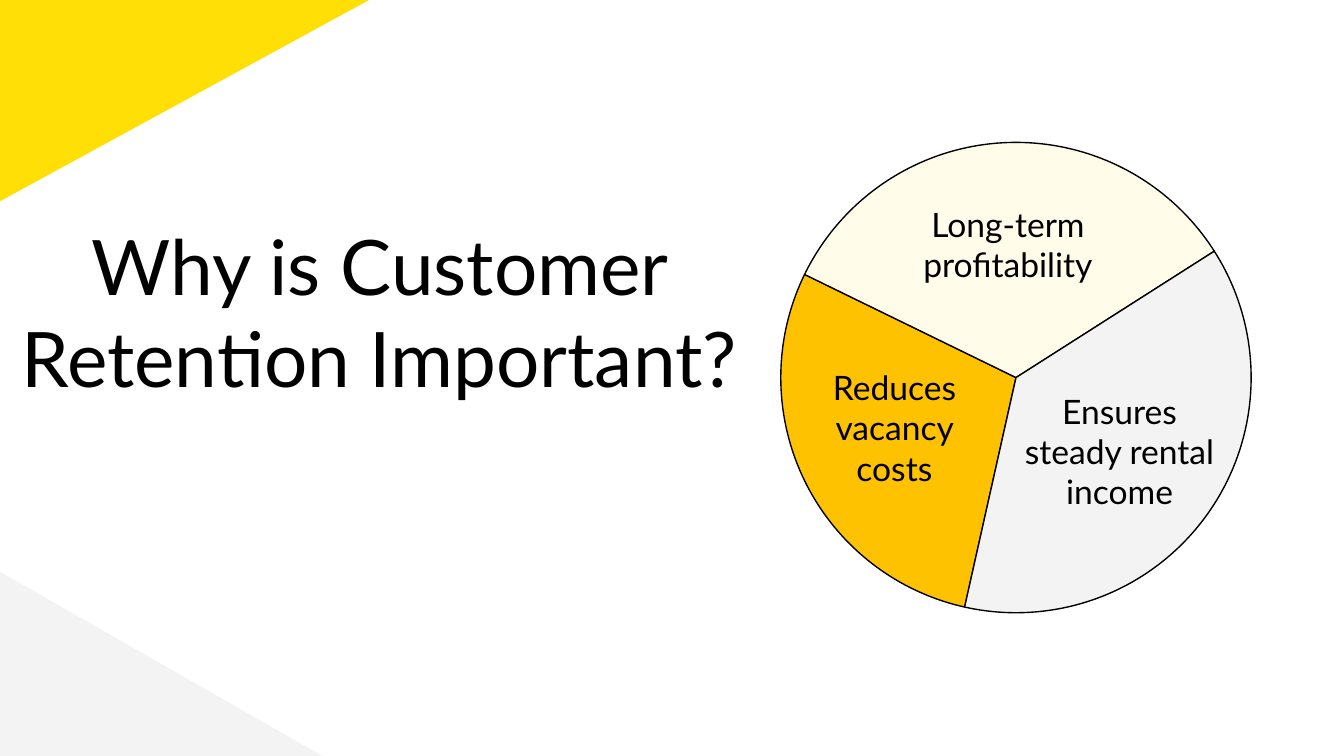
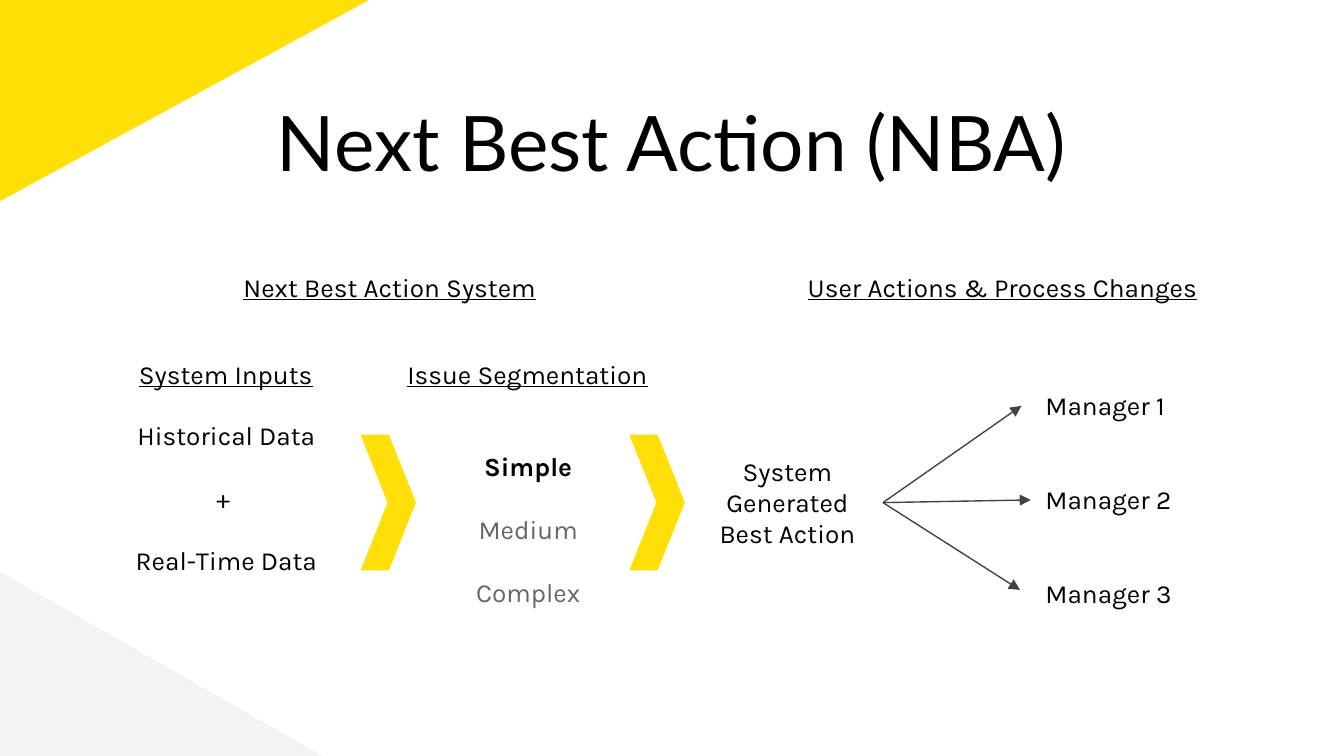
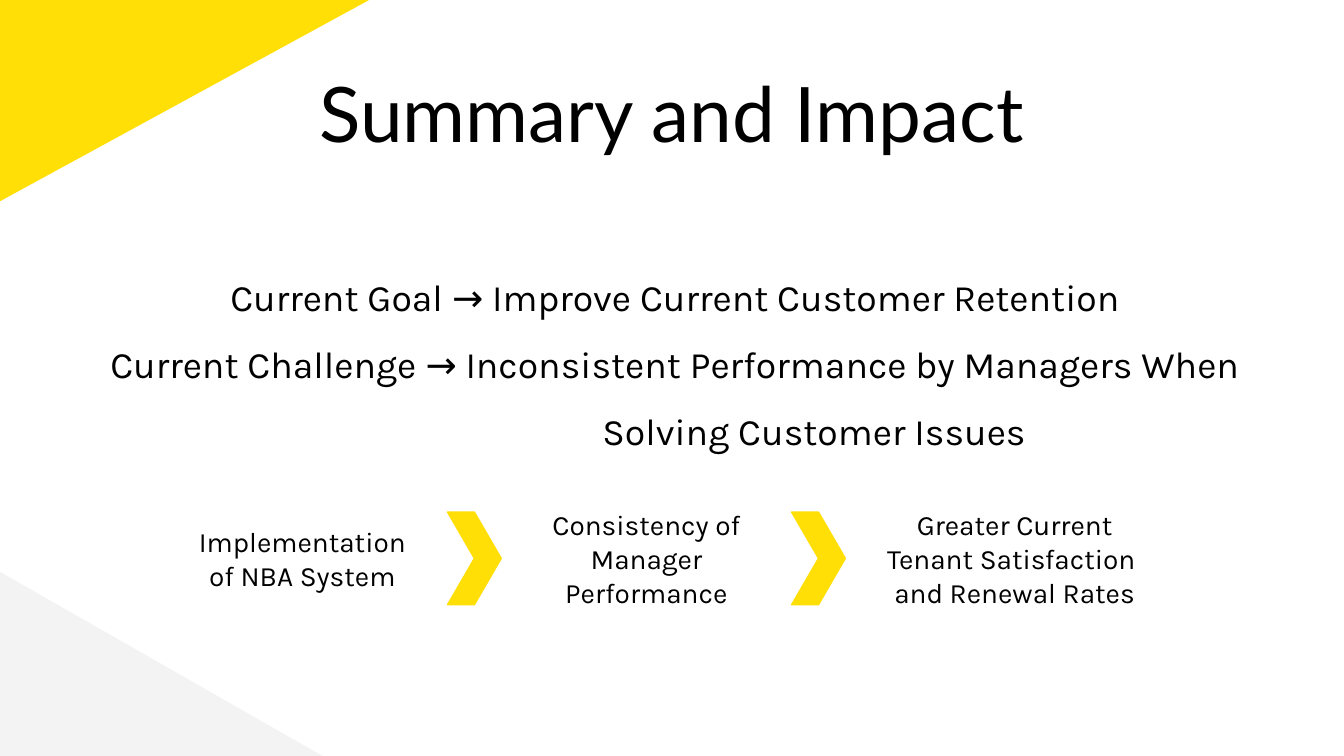
from dataclasses import dataclass

from lxml import etree
from pptx import Presentation
from pptx.dml.color import RGBColor
from pptx.enum import shapes, text
from pptx.oxml import ns
from pptx.util import Inches, Pt


@dataclass(frozen=True)
class Theme:
    yellow: str = "FFDF06"
    amber: str = "FFC201"
    cream: str = "FFFCE9"
    pale: str = "F3F3F3"
    ink: str = "000000"
    muted: str = "666666"
    arrow: str = "434343"
    heading_font: str = "Lato"
    body_font: str = "Karla"
    title_size: int = 41
    lead_size: int = 20
    slice_size: int = 18
    outcome_size: int = 15
    flow_size: int = 14
    stroke: float = 0.75
    row_gap: float = 16.8


THEME = Theme()
WIDTH = 10
HEIGHT = WIDTH * 9 / 16
SHAPE = shapes.MSO_SHAPE

# Slide 1: label, colour, start and end angle (clockwise from east), label area
PIE_AREA = (5.81, 1.06, 3.5, 3.5)
REASONS = [
    ("Reduces vacancy costs", THEME.amber, 102.6, 206, (5.89, 2.76, 1.53, 0.84)),
    ("Long-term profitability", THEME.cream, 206, 327.5, (6.41, 1.69, 2.18, 0.25)),
    ("Ensures steady rental income", THEME.pale, 327.5, 102.6, (7.54, 3.23, 1.58, 0.25)),
]

# Slide 2
FLOW_TOP, FLOW_HEIGHT = 3.02, 1.43
FLOW_HEADINGS = [
    ("Next Best Action System", (1.66, 1.92, 2.48, 0.44)),
    ("User Actions & Process Changes", (5.72, 1.92, 3.48, 0.44)),
    ("System Inputs", (0.92, 2.57, 1.52, 0.36)),
    ("Issue Segmentation", (2.86, 2.57, 2.13, 0.36)),
]
INPUTS = ["Historical Data", "+ ", "Real-Time Data"]
SEGMENTS = [
    ("Simple", {"bold": True}),
    ("Medium", {"color": THEME.muted}),
    ("Complex", {"color": THEME.muted}),
]
MANAGERS = ["Manager 1", "Manager 2", "Manager 3"]
ARROW_START = (6.57, 3.74)
ARROW_ENDS = [(7.6, 3.02), (7.67, 3.72), (7.59, 4.39)]

# Slide 3
SUMMARY = [
    "Current Goal → Improve Current Customer Retention",
    "Current Challenge → Inconsistent Performance by Managers When",
    (" Solving Customer Issues", {"indent": 2}),
]
OUTCOMES = [  # left, width, paragraphs
    (1.32, 1.86, ["Implementation of NBA System"]),
    (3.88, 1.86, ["Consistency of Manager Performance"]),
    (6.43, 2.24, ["Greater Current Tenant Satisfaction ", "and Renewal Rates"]),
]


def inches(values):
    return [Inches(value) for value in values]


def add_shape(page, kind, area, fill, line=None):
    shape = page.shapes.add_shape(kind, *inches(area))
    shape.shadow.inherit = False
    shape.fill.solid()
    shape.fill.fore_color.rgb = RGBColor.from_string(fill)
    if line:
        shape.line.color.rgb = RGBColor.from_string(line)
        shape.line.width = Pt(THEME.stroke)
    else:
        shape.line.fill.background()
    return shape


def format_paragraph(para, content, size, font=THEME.body_font, color=THEME.ink,
                     bold=False, underline=False, align="CENTER",
                     spacing=None, before=0, indent=0):
    para.alignment = getattr(text.PP_ALIGN, align)
    para.space_before = Pt(before)
    if spacing:
        para.line_spacing = spacing
    if indent:
        para._p.get_or_add_pPr().set("marL", str(Inches(indent)))
    span = para.add_run()
    span.text = content
    span.font.name = font
    span.font.size = Pt(size)
    span.font.bold = bold
    span.font.underline = underline
    span.font.color.rgb = RGBColor.from_string(color)


def add_text(page, area, lines, anchor="TOP", inset=0.1, before=0, **style):
    """Add a box; each line is a string or a (string, style changes) pair."""
    box = page.shapes.add_textbox(*inches(area))
    frame = box.text_frame
    frame.word_wrap = True
    frame.vertical_anchor = getattr(text.MSO_ANCHOR, anchor)
    frame.margin_left = frame.margin_right = Inches(inset)
    frame.margin_top = frame.margin_bottom = Inches(inset)
    for index, line in enumerate(lines):
        content, changes = (line, {}) if isinstance(line, str) else line
        para = frame.add_paragraph() if index else frame.paragraphs[0]
        gap = before if index else 0
        format_paragraph(para, content, **{**style, "before": gap, **changes})


def add_chevron(page, left, top, height):
    chevron = add_shape(page, SHAPE.CHEVRON, (left, top, 0.4, height),
                        THEME.yellow, THEME.yellow)
    chevron.adjustments[0] = 0.5


def add_arrow(page, start, end):
    arrow = page.shapes.add_connector(shapes.MSO_CONNECTOR.STRAIGHT,
                                      *inches(start + end))
    arrow.line.color.rgb = RGBColor.from_string(THEME.arrow)
    arrow.line.width = Pt(THEME.stroke)
    etree.SubElement(arrow.line._get_or_add_ln(), ns.qn("a:tailEnd"), type="triangle")
    etree.SubElement(arrow._element.spPr, ns.qn("a:effectLst"))


def add_page(deck, title, title_area):
    """Add a slide with the two corner bands and a title."""
    page = deck.slides.add_slide(deck.slide_layouts[6])
    add_shape(page, SHAPE.RIGHT_TRIANGLE, (0, HEIGHT - 1.37, 2.4, 1.37), THEME.pale)
    band = add_shape(page, SHAPE.RECTANGLE, (-0.86, -0.44, 3.55, 1.34),
                     THEME.yellow, THEME.yellow)
    band.rotation = 331.4
    add_text(page, title_area, [title], size=THEME.title_size, font=THEME.heading_font)
    return page


def build_reasons(deck):
    page = add_page(deck, "Why is Customer Retention Important?", (0, 1.53, 5.65, 2.57))
    for _, color, start, end, _ in REASONS:
        piece = add_shape(page, SHAPE.PIE, PIE_AREA, color, THEME.ink)
        # Angles are stored in 60000ths of a degree, adjustments in 100000ths.
        piece.adjustments[0] = start * 0.6
        piece.adjustments[1] = end * 0.6
    for label, _, _, _, area in REASONS:
        add_text(page, area, [label], anchor="MIDDLE", inset=0.07,
                 size=THEME.slice_size, font=THEME.heading_font)


def build_flow(deck):
    page = add_page(deck, "Next Best Action (NBA)", (0.57, 0.61, 8.86, 0.86))
    size = THEME.flow_size
    for heading, area in FLOW_HEADINGS:
        add_text(page, area, [heading], size=size, underline=True)
    add_text(page, (0.8, FLOW_TOP, 1.77, FLOW_HEIGHT), INPUTS,
             size=size, before=THEME.row_gap)
    add_text(page, (3.17, FLOW_TOP, 1.52, FLOW_HEIGHT), SEGMENTS, size=size, spacing=2.0)
    add_text(page, (5.16, FLOW_TOP, 1.4, FLOW_HEIGHT), ["System Generated Best Action"],
             size=size, anchor="MIDDLE")
    add_text(page, (7.68, 2.8, 1.52, 1.96), MANAGERS,
             size=size, align="LEFT", before=2 * THEME.row_gap)
    for left in (2.69, 4.69):
        add_chevron(page, left, 3.24, 1)
    for end in ARROW_ENDS:
        add_arrow(page, ARROW_START, end)


def build_summary(deck):
    page = add_page(deck, "Summary and Impact", (0.57, 0.39, 8.86, 0.86))
    add_text(page, (0.57, 1.77, 8.91, 1.05), SUMMARY, size=THEME.lead_size, spacing=1.5)
    for left, width, lines in OUTCOMES:
        add_text(page, (left, 3.63, width, 1.05), lines,
                 size=THEME.outcome_size, anchor="MIDDLE")
    for left in (3.33, 5.89):
        add_chevron(page, left, 3.81, 0.69)


def main():
    deck = Presentation()
    deck.slide_width, deck.slide_height = inches((WIDTH, HEIGHT))
    build_reasons(deck)
    build_flow(deck)
    build_summary(deck)
    deck.save("out.pptx")


if __name__ == "__main__":
    main()
